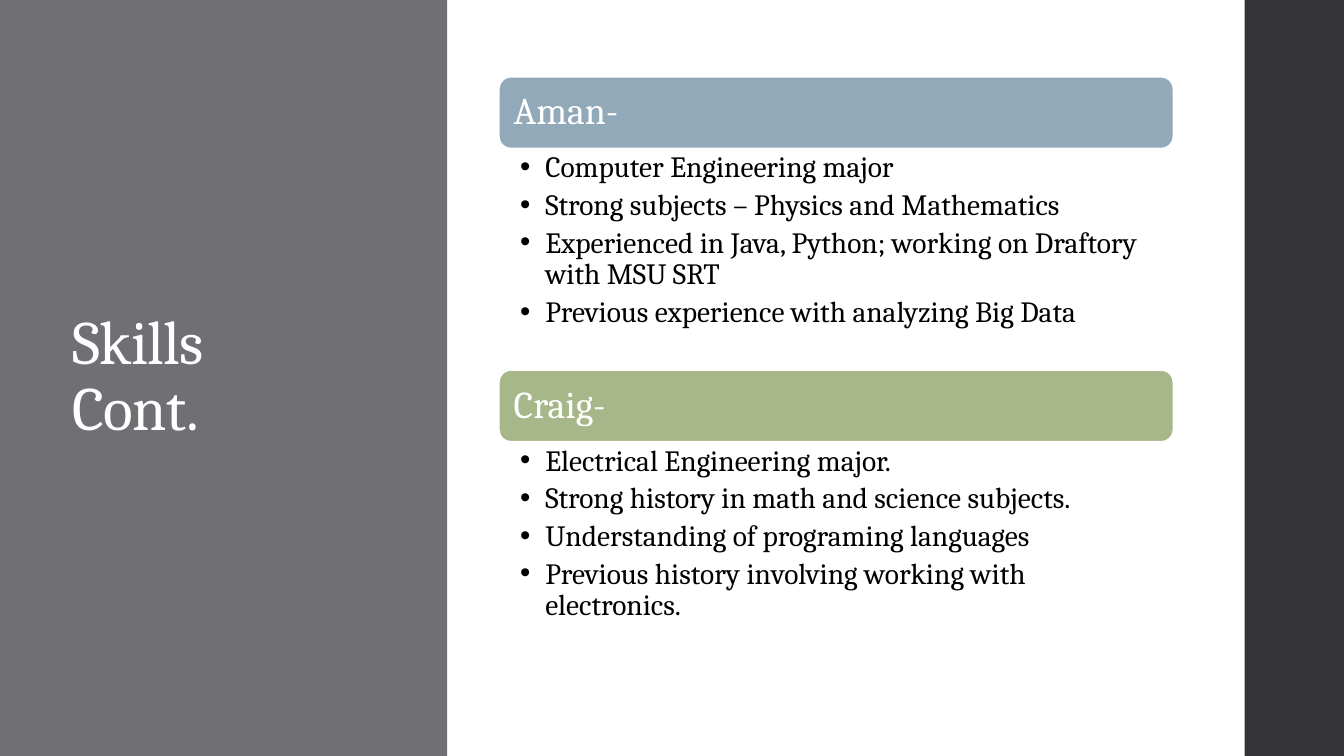
import pptx
import pptx.util
import pptx.dml.color
import pptx.enum.shapes
import pptx.enum.text
import pptx.oxml.ns
from lxml import etree

Pt = pptx.util.Pt
RGBColor = pptx.dml.color.RGBColor
SHAPE = pptx.enum.shapes.MSO_SHAPE
ANCHOR = pptx.enum.text.MSO_ANCHOR
ALIGN = pptx.enum.text.PP_ALIGN

WHITE = RGBColor(0xFF, 0xFF, 0xFF)
BLACK = RGBColor(0, 0, 0)
GRAY = RGBColor(0x6F, 0x6F, 0x74)
CHARCOAL = RGBColor(0x35, 0x35, 0x37)
BLUE = RGBColor(0x92, 0xA9, 0xB9)
GREEN = RGBColor(0xA7, 0xB7, 0x89)

SLIDE_WIDTH, SLIDE_HEIGHT = 960, 540
LEFT, WIDTH = 356.4, 481.7
HEADING_HEIGHT = 51.1


def add_block(kind, left, top, width, height, color):
    block = slide.shapes.add_shape(kind, Pt(left), Pt(top), Pt(width), Pt(height))
    block.shadow.inherit = False
    block.fill.solid()
    block.fill.fore_color.rgb = color
    block.line.fill.background()
    return block


def write_text(shape, lines, size, color, space_after, frame_format):
    frame = shape.text_frame
    frame.text = "\n".join(lines)
    frame_format = {"word_wrap": True,
                    "auto_size": pptx.enum.text.MSO_AUTO_SIZE.NONE, **frame_format}
    for name, value in frame_format.items():
        setattr(frame, name, value)
    for paragraph in frame.paragraphs:
        for name, value in {"alignment": ALIGN.LEFT, "line_spacing": 0.9,
                            "space_before": Pt(0),
                            "space_after": Pt(space_after)}.items():
            setattr(paragraph, name, value)
        for run in paragraph.runs:
            run.font.name = "Cambria"
            run.font.size = Pt(size)
            run.font.color.rgb = color
    return frame.paragraphs


presentation = pptx.Presentation()
presentation.slide_width = Pt(SLIDE_WIDTH)
presentation.slide_height = Pt(SLIDE_HEIGHT)
slide = presentation.slides.add_slide(presentation.slide_layouts[3])
title, *skill_lists = slide.placeholders

# Side panels
add_block(SHAPE.RECTANGLE, 0, 0, 319.5, SLIDE_HEIGHT, GRAY)
add_block(SHAPE.RECTANGLE, 889, 0, SLIDE_WIDTH - 889, SLIDE_HEIGHT, CHARCOAL)

# Title, raised above the left panel
for name, value in {"left": 44.6, "top": 65.5, "width": 213.8, "height": 408.2}.items():
    setattr(title, name, Pt(value))
for paragraph in write_text(title, ["Skills\vCont."], 44, WHITE, 0,
                            {"vertical_anchor": ANCHOR.MIDDLE}):
    for run in paragraph.runs:
        run.font._element.set("spc", "-50")
slide.shapes.element.append(title.element)

# One heading bar and skill list per person
people = [
    ("Aman-", BLUE, 54.9, 158.4, [
        "Computer Engineering major",
        "Strong subjects – Physics and Mathematics",
        "Experienced in Java, Python; working on Draftory with MSU SRT",
        "Previous experience with analyzing Big Data",
    ]),
    ("Craig-", GREEN, 264.4, 133.9, [
        "Electrical Engineering major.",
        "Strong history in math and science subjects.",
        "Understanding of programing languages",
        "Previous history\u00a0involving working with electronics.",
    ]),
]
for skill_list, (person, color, top, list_height, skills) in zip(skill_lists, people):
    heading = add_block(SHAPE.ROUNDED_RECTANGLE, LEFT, top, WIDTH, HEADING_HEIGHT, color)
    heading.line.color.rgb = WHITE
    heading.line.width = Pt(1.1)
    write_text(heading, [person], 27, WHITE, 0,
               {"vertical_anchor": ANCHOR.MIDDLE, "margin_left": Pt(8)})

    for name, value in {"left": LEFT, "top": top + HEADING_HEIGHT,
                        "width": WIDTH, "height": list_height}.items():
        setattr(skill_list, name, Pt(value))
    margins = {"margin_left": Pt(15.1), "margin_right": Pt(15.1),
               "margin_top": Pt(2.9), "margin_bottom": Pt(2.9)}
    for paragraph in write_text(skill_list, skills, 21, BLACK, 4.2,
                                {"vertical_anchor": ANCHOR.TOP, **margins}):
        properties = paragraph._p.get_or_add_pPr()
        properties.set("marL", str(Pt(18)))
        properties.set("indent", str(-Pt(18)))
        bullet = etree.SubElement(properties, pptx.oxml.ns.qn("a:buChar"))
        bullet.set("char", "•")

presentation.save("out.pptx")
